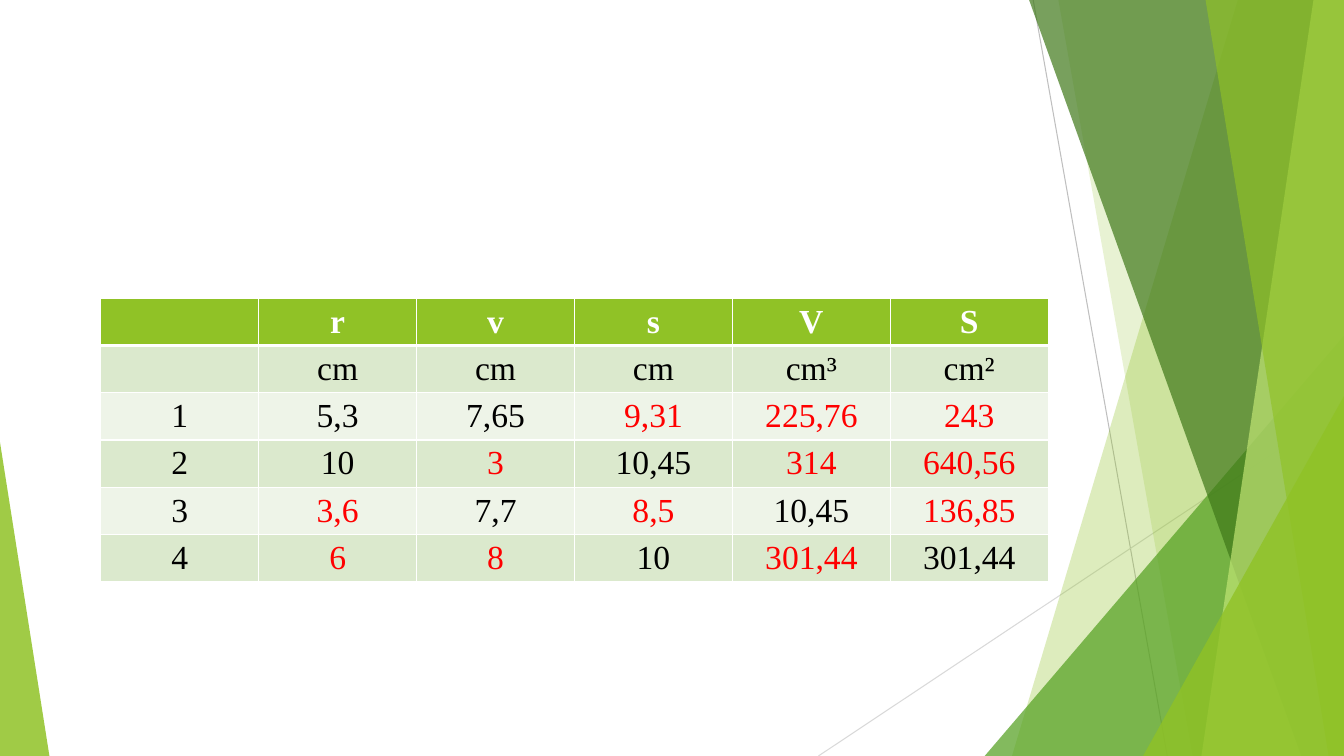
"""Build the cone measurement table slide with its green faceted backdrop."""
from dataclasses import dataclass

import lxml.etree
import pptx
import pptx.dml.color
import pptx.enum.shapes
import pptx.enum.text
import pptx.oxml
import pptx.oxml.ns
import pptx.presentation
import pptx.shapes.base
import pptx.slide
import pptx.util

Pt = pptx.util.Pt
RGBColor = pptx.dml.color.RGBColor
qn = pptx.oxml.ns.qn

WIDTH, HEIGHT = 960, 540
FONT, TEXT_SIZE = "Times New Roman", 24
TABLE_LEFT, TABLE_TOP = 72, 213.1
COLUMN_WIDTH, ROW_HEIGHT = 112.8, 33.75
CELL_MARGIN = 3

WHITE = RGBColor(0xFF, 0xFF, 0xFF)
BLACK = RGBColor(0x00, 0x00, 0x00)
RED = RGBColor(0xFF, 0x00, 0x00)
LIME = RGBColor(0x90, 0xC2, 0x26)
PALE_LIME = RGBColor(0xC0, 0xE4, 0x74)
GREEN = RGBColor(0x54, 0xA0, 0x21)
DARK_GREEN = RGBColor(0x3F, 0x78, 0x19)
BAND_DARK = RGBColor(0xDB, 0xE9, 0xCD)
BAND_LIGHT = RGBColor(0xEE, 0xF4, 0xE8)
GRAY = RGBColor(0xBF, 0xBF, 0xBF)
LIGHT_GRAY = RGBColor(0xD9, 0xD9, 0xD9)


@dataclass(frozen=True)
class Ray:
    start: tuple[float, float]
    end: tuple[float, float]
    color: RGBColor


@dataclass(frozen=True)
class Panel:
    """Area from a slanted left edge to the right side of the slide."""
    top_x: float
    bottom_x: float
    color: RGBColor
    opacity: int


@dataclass(frozen=True)
class Corner:
    """Triangle standing on the bottom edge with its tip at one side."""
    left: float
    width: float
    height: float
    tip: float
    color: RGBColor
    opacity: int


@dataclass(frozen=True)
class Row:
    values: tuple[str, ...]
    computed: tuple[int, ...] = ()


RAYS = (
    Ray((738, 0), (833.8, HEIGHT), GRAY),
    Ray((WIDTH, 290.2), (584.6, HEIGHT), LIGHT_GRAY),
)
FACETS = (
    Panel(884.2, 722.9, LIME, 30),
    Panel(756, 851.8, LIME, 20),
    Corner(703.4, 256.6, 300.2, 1, GREEN, 72),
    Panel(735.1, 929.5, DARK_GREEN, 70),
    Panel(938.2, 858.2, PALE_LIME, 70),
    Panel(861.1, 949, LIME, 65),
    Corner(816.5, 143.5, 257, 1, LIME, 80),
    Corner(0, 35.3, 224, 0, LIME, 85),
)
ROWS = (
    Row(("", "r", "v", "s", "V", "S")),
    Row(("", "cm", "cm", "cm", "cm³", "cm²")),
    Row(("1", "5,3", "7,65", "9,31", "225,76", "243"), (3, 4, 5)),
    Row(("2", "10", "3", "10,45", "314", "640,56"), (2, 4, 5)),
    Row(("3", "3,6", "7,7", "8,5", "10,45", "136,85"), (1, 3, 5)),
    Row(("4", "6", "8", "10", "301,44", "301,44"), (1, 2, 4)),
)


def draw_ray(s: pptx.slide.Slide, ray: Ray) -> None:
    points = [Pt(v) for v in ray.start + ray.end]
    line = s.shapes.add_connector(pptx.enum.shapes.MSO_CONNECTOR.STRAIGHT, *points)
    line.line.color.rgb = ray.color
    line.line.width = Pt(0.75)
    lxml.etree.SubElement(line.element.spPr, qn("a:effectLst"))


def draw_facet(s: pptx.slide.Slide, facet: Panel | Corner) -> None:
    if isinstance(facet, Panel):
        builder = s.shapes.build_freeform(Pt(facet.top_x), 0, scale=1.0)
        outline = ((WIDTH, 0), (WIDTH, HEIGHT), (facet.bottom_x, HEIGHT))
        builder.add_line_segments([(Pt(x), Pt(y)) for x, y in outline])
        sp = builder.convert_to_shape()
    else:
        sp = s.shapes.add_shape(
            pptx.enum.shapes.MSO_SHAPE.ISOSCELES_TRIANGLE,
            Pt(facet.left), Pt(HEIGHT - facet.height), Pt(facet.width), Pt(facet.height))
        sp.adjustments[0] = facet.tip
    sp.shadow.inherit = False
    sp.line.fill.background()
    sp.fill.solid()
    sp.fill.fore_color.rgb = facet.color
    color = sp.element.spPr.find(qn("a:solidFill"))[0]
    lxml.etree.SubElement(color, qn("a:alpha"), val=str(facet.opacity * 1000))


def add_borders(cell, row: int) -> None:
    tcPr = cell._tc.get_or_add_tcPr()
    widths = {"L": 1, "R": 1, "T": 3 if row == 1 else 1, "B": 3 if row == 0 else 1}
    for side, width in widths.items():
        ln = lxml.etree.SubElement(tcPr, qn(f"a:ln{side}"), w=str(Pt(width)))
        fill = lxml.etree.SubElement(ln, qn("a:solidFill"))
        lxml.etree.SubElement(fill, qn("a:srgbClr"), val=str(WHITE))


def draw_table(s: pptx.slide.Slide, rows: tuple[Row, ...]) -> None:
    columns = len(rows[0].values)
    table = s.shapes.add_table(
        len(rows), columns, Pt(TABLE_LEFT), Pt(TABLE_TOP),
        Pt(COLUMN_WIDTH * columns), Pt(ROW_HEIGHT * len(rows))).table
    for column in table.columns:
        column.width = Pt(COLUMN_WIDTH)
    for i, row in enumerate(rows):
        table.rows[i].height = Pt(ROW_HEIGHT)
        band = LIME if i == 0 else BAND_DARK if i % 2 else BAND_LIGHT
        for j, value in enumerate(row.values):
            cell = table.cell(i, j)
            add_borders(cell, i)
            cell.fill.solid()
            cell.fill.fore_color.rgb = band
            cell.margin_top = cell.margin_bottom = Pt(CELL_MARGIN)
            cell.vertical_anchor = pptx.enum.text.MSO_ANCHOR.MIDDLE
            cell.text_frame.text = value
            p = cell.text_frame.paragraphs[0]
            p.alignment = pptx.enum.text.PP_ALIGN.CENTER
            for r in p.runs:
                r.font.name = FONT
                r.font.size = Pt(TEXT_SIZE)
                r.font.bold = i == 0
                r.font.color.rgb = WHITE if i == 0 else RED if j in row.computed else BLACK


def main() -> None:
    prs = pptx.Presentation()
    prs.slide_width, prs.slide_height = Pt(WIDTH), Pt(HEIGHT)
    s = prs.slides.add_slide(prs.slide_layouts[6])
    for ray in RAYS:
        draw_ray(s, ray)
    for facet in FACETS:
        draw_facet(s, facet)
    draw_table(s, ROWS)
    prs.save("out.pptx")


if __name__ == "__main__":
    main()
